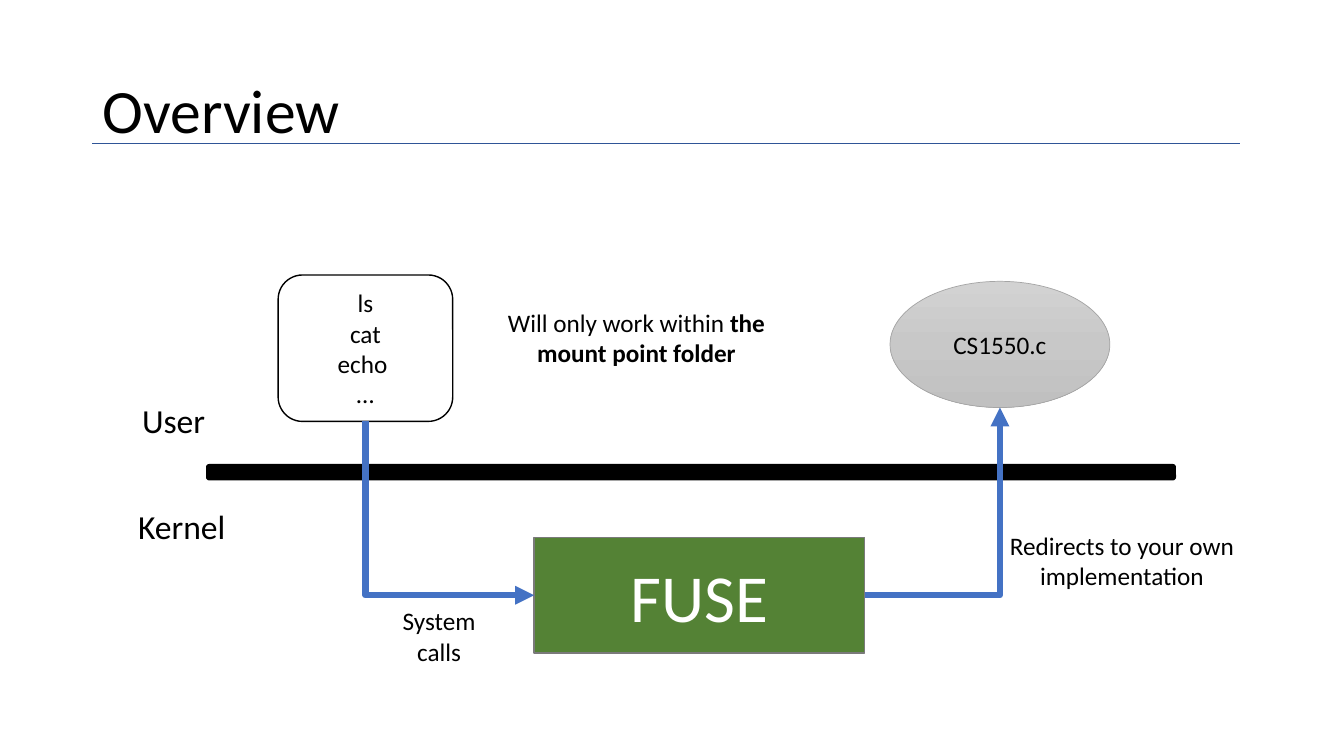
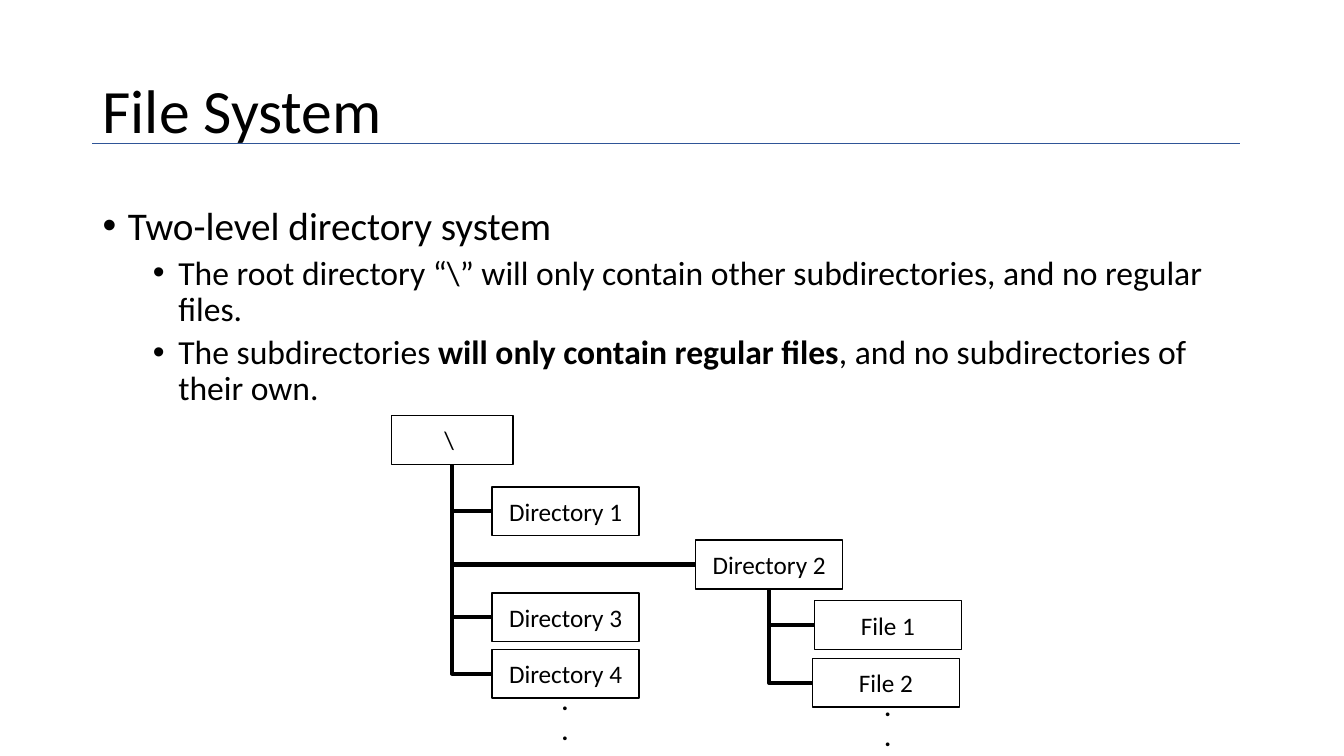
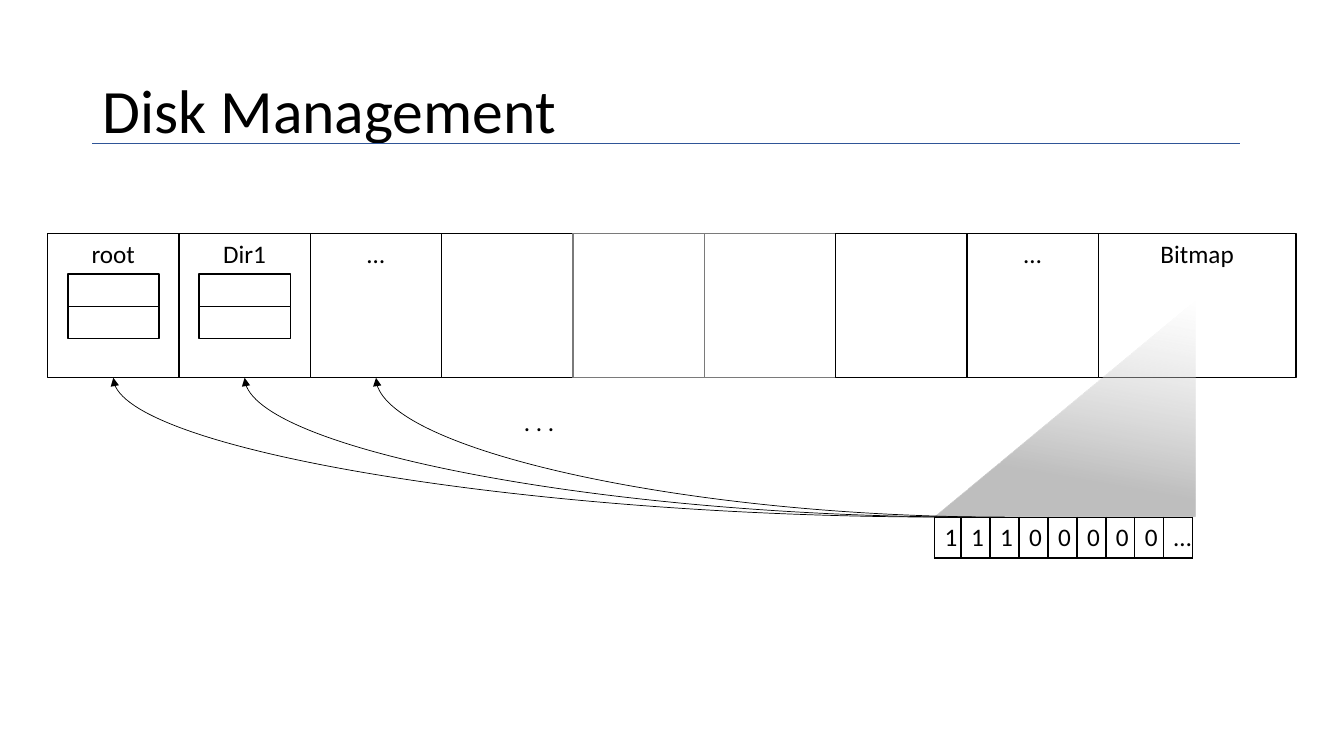
from lxml import etree
from pptx import Presentation
from pptx.dml.color import RGBColor
from pptx.enum.shapes import MSO_CONNECTOR, MSO_SHAPE
from pptx.enum.text import MSO_ANCHOR, MSO_AUTO_SIZE, PP_ALIGN
from pptx.oxml.ns import qn
from pptx.util import Cm, Pt

RECTANGLE, ROUNDED = MSO_SHAPE.RECTANGLE, MSO_SHAPE.ROUNDED_RECTANGLE
OVAL, TRIANGLE = MSO_SHAPE.OVAL, MSO_SHAPE.ISOSCELES_TRIANGLE
STRAIGHT, ELBOW, CURVE = MSO_CONNECTOR.STRAIGHT, MSO_CONNECTOR.ELBOW, MSO_CONNECTOR.CURVE
LEFT, CENTER = PP_ALIGN.LEFT, PP_ALIGN.CENTER
TOP, MIDDLE = MSO_ANCHOR.TOP, MSO_ANCHOR.MIDDLE
SIDE_BOTTOM, SIDE_LEFT, SIDE_RIGHT = 2, 1, 3
TITLE_ONLY, TITLE_AND_BODY = 5, 1

# Shared style
FONT = "Calibri"
COLORS = {
    "black": "000000", "white": "FFFFFF", "rule": "2F5597", "arrow": "4472C4",
    "green": "548235", "gray": "7A7A7A", "silver": "A5A5A5",
}
TITLE_BOX = (2.33, 1.01, 29.21, 3.68)
BODY_BOX = (2.33, 5.08, 29.21, 12.1)
RULE = (2.33, 3.61, 31.24, 3.61)
# Per list level: font size, left margin, space before
LEVELS = [(28, 0.64, 10), (24, 1.91, 5)]
HANGING = 0.64

# Overview: name, preset, box, text, size, text colour, fill, line, line width
OVERVIEW_SHAPES = [
    ("commands", ROUNDED, (7.01, 6.93, 4.4, 3.69), "ls\ncat\necho \n…",
     18, "black", "white", "black", 1),
    ("fuse", RECTANGLE, (13.46, 13.54, 8.33, 2.92), "FUSE",
     48, "white", "green", "gray", 1),
    ("boundary", ROUNDED, (5.21, 11.71, 24.41, 0.38), "",
     18, "black", "black", "black", 1),
    ("program", OVAL, (22.43, 7.09, 5.54, 3.18), "CS1550.c",
     18, "black", "white", "silver", 0.5),
]
OVERVIEW_LABELS = [
    ((3.33, 9.96, 2.46, 1.27), "User", 24, LEFT),
    ((3.23, 12.62, 3.15, 1.27), "Kernel", 24, LEFT),
    ((9.73, 15.14, 2.67, 1.8), "System calls", 18, CENTER),
    ((12.37, 7.62, 7.34, 1.8),
     [[("Will only work within ", False), ("the mount point folder", True)]], 18, CENTER),
    ((24.82, 13.23, 6.91, 1.8), "Redirects to your own implementation", 18, CENTER),
]
# Gradient stops: position in %, colour, opacity in %
PROGRAM_STOPS = [(0, "D2D2D2", 100), (50, "C8C8C8", 100), (100, "C0C0C0", 100)]

# File System: list as (level, runs), then tree boxes and branches
FILE_SYSTEM_LIST = [
    (0, [("Two-level directory system", False)]),
    (1, [("The root directory “\\” will only contain other subdirectories, "
          "and no regular files.", False)]),
    (1, [("The subdirectories ", False), ("will only contain regular files", True),
         (", and no subdirectories of their own.", False)]),
]
NODE_WIDTH, ROOT_WIDTH, NODE_HEIGHT = 3.71, 3.07, 1.23
NODES = {
    "\\ ": (9.86, 10.47), "Directory 1": (12.4, 12.27), "Directory 2": (17.53, 13.61),
    "Directory 3": (12.4, 14.94), "Directory 4": (12.4, 16.36),
    "File 1": (20.52, 15.14), "File 2": (20.47, 16.59),
}
BRANCHES = {
    "\\ ": ["Directory 1", "Directory 2", "Directory 3", "Directory 4"],
    "Directory 2": ["File 1", "File 2"],
}
DOTS_BOXES = [(12.88, 17.15, 2.72, 2.57), (21.01, 17.3, 2.72, 2.57)]

# Disk Management
BLOCKS = [
    ("root", "black"), ("Dir1", "black"), ("…", "black"), ("", "black"), ("", "gray"),
    ("", "gray"), ("", "black"), ("…", "black"), ("Bitmap", "black"),
]
DISK_LEFT, DISK_TOP, BLOCK_WIDTH, BLOCK_HEIGHT, BITMAP_WIDTH = 1.2, 5.89, 3.31, 3.63, 4.98
ENTRY_INSET, ENTRY_TOP, ENTRY_WIDTH, ENTRY_HEIGHT = 0.51, 6.91, 2.3, 0.81
BLOCKS_WITH_ENTRIES, ENTRIES = 2, 2
BITS = "11100000…"
BITS_LEFT, BITS_TOP, BITS_HEIGHT = 23.55, 13.03, 1.02
BIT_WIDTHS = [0.67] + [0.73] * 8
ZOOM_BOX = (23.55, 7.57, 6.58, 5.44)
ZOOM_STOPS = [(0, "D9D9D9", 0), (76, "BFBFBF", 100)]
LINKED_BLOCKS = 3


def color(name):
    return RGBColor.from_string(COLORS[name])


def lengths(box):
    return [Cm(value) for value in box]


def add_runs(paragraph, runs, size, color_name="black"):
    for text, bold in runs:
        run = paragraph.add_run()
        run.text = text
        run.font.name, run.font.size, run.font.bold = FONT, Pt(size), bold
        run.font.color.rgb = color(color_name)


def write(frame, content, size, color_name="black", alignment=CENTER, anchor=MIDDLE, bold=False):
    """Fill a frame from a string (one paragraph per line) or from lists of runs."""
    if isinstance(content, str):
        content = [[(line, bold)] for line in content.split("\n")] if content else []
    frame.word_wrap = True
    frame.vertical_anchor = anchor
    for index, runs in enumerate(content):
        paragraph = frame.add_paragraph() if index else frame.paragraphs[0]
        paragraph.alignment = alignment
        add_runs(paragraph, runs, size, color_name)


def add_box(slide, preset, box, text="", size=18, text_color="black", fill="white",
            line="black", width=1, anchor=MIDDLE):
    shape = slide.shapes.add_shape(preset, *lengths(box))
    shape.shadow.inherit = False
    shape.fill.solid()
    shape.fill.fore_color.rgb = color(fill)
    shape.line.color.rgb = color(line)
    shape.line.width = Pt(width)
    write(shape.text_frame, text, size, text_color, anchor=anchor)
    return shape


def add_label(slide, box, content, size=18, alignment=CENTER, bold=False):
    label = slide.shapes.add_textbox(*lengths(box))
    write(label.text_frame, content, size, alignment=alignment, anchor=TOP, bold=bold)


def set_gradient(shape, stops, angle):
    """Replace the solid fill by a gradient with any number of stops."""
    gradient = etree.Element(qn("a:gradFill"), rotWithShape="1")
    stop_list = etree.SubElement(gradient, qn("a:gsLst"))
    for position, value, opacity in stops:
        stop = etree.SubElement(stop_list, qn("a:gs"), pos=str(position * 1000))
        stop_color = etree.SubElement(stop, qn("a:srgbClr"), val=value)
        if opacity < 100:
            etree.SubElement(stop_color, qn("a:alpha"), val=str(opacity * 1000))
    etree.SubElement(gradient, qn("a:lin"), ang=str(angle * 60000), scaled="0")
    properties = shape.element.spPr
    properties.replace(properties.find(qn("a:solidFill")), gradient)


def add_line(slide, kind, points, color_name, width, arrow=False):
    connector = slide.shapes.add_connector(kind, *lengths(points))
    connector.line.color.rgb = color(color_name)
    connector.line.width = Pt(width)
    properties = connector.element.spPr
    if arrow:
        etree.SubElement(properties.find(qn("a:ln")), qn("a:tailEnd"), type="triangle")
    etree.SubElement(properties, qn("a:effectLst"))
    return connector


def make_one_bend(connector, down_first=False):
    """Turn a connector into its single-bend form, leaving sideways or downwards."""
    properties = connector.element.spPr
    geometry = properties.find(qn("a:prstGeom"))
    geometry.set("prst", geometry.get("prst").replace("3", "2"))
    transform = properties.find(qn("a:xfrm"))
    if down_first:
        left, top, width, height = (connector.left, connector.top,
                                    connector.width, connector.height)
        connector.left = left + (width - height) // 2
        connector.top = top + (height - width) // 2
        connector.width, connector.height = height, width
        transform.set("rot", "16200000")
        transform.set("flipH", "1")
    elif transform.get("flipH") and transform.get("flipV"):
        del transform.attrib["flipH"], transform.attrib["flipV"]
        transform.set("rot", "10800000")


def join_end(connector, shape, side):
    connector.end_connect(shape, side)
    if shape.auto_shape_type == OVAL:
        # An ellipse has eight connection sites, two per side
        for end in connector.element.iter(qn("a:endCxn")):
            end.set("idx", str(side * 2))


def join(slide, start, start_side, end, end_side, color_name, width, arrow=False):
    connector = add_line(slide, ELBOW, (0, 0, 1, 1), color_name, width, arrow)
    connector.begin_connect(start, start_side)
    join_end(connector, end, end_side)
    make_one_bend(connector, down_first=start_side == SIDE_BOTTOM)


def place(placeholder, box, anchor):
    placeholder.left, placeholder.top, placeholder.width, placeholder.height = lengths(box)
    frame = placeholder.text_frame
    frame.auto_size = MSO_AUTO_SIZE.NONE
    frame.word_wrap = True
    frame.vertical_anchor = anchor
    return frame


def start_slide(presentation, title, layout=TITLE_ONLY):
    slide = presentation.slides.add_slide(presentation.slide_layouts[layout])
    frame = place(slide.shapes.title, TITLE_BOX, MIDDLE)
    write(frame, title, 44, alignment=LEFT)
    frame.paragraphs[0].line_spacing = 0.9
    add_line(slide, STRAIGHT, RULE, "rule", 0.5)
    return slide


def fill_list(placeholder, items):
    frame = place(placeholder, BODY_BOX, TOP)
    for index, (level, runs) in enumerate(items):
        size, margin, space_before = LEVELS[level]
        paragraph = frame.add_paragraph() if index else frame.paragraphs[0]
        paragraph.level = level
        paragraph.line_spacing = 0.9
        paragraph.space_before = Pt(space_before)
        add_runs(paragraph, runs, size)
        properties = paragraph._p.get_or_add_pPr()
        properties.set("marL", str(Cm(margin)))
        properties.set("indent", str(-Cm(HANGING)))
        etree.SubElement(properties, qn("a:buFont"), typeface="Arial")
        etree.SubElement(properties, qn("a:buChar"), char="•")


def set_borders(cell):
    properties = cell._tc.get_or_add_tcPr()
    for index, edge in enumerate(("a:lnL", "a:lnR", "a:lnT", "a:lnB")):
        border = etree.Element(qn(edge), w=str(Pt(1)))
        fill = etree.SubElement(border, qn("a:solidFill"))
        etree.SubElement(fill, qn("a:srgbClr"), val=COLORS["black"])
        properties.insert(index, border)


def build_overview(presentation):
    slide = start_slide(presentation, "Overview")
    shapes = {name: add_box(slide, *details) for name, *details in OVERVIEW_SHAPES}
    set_gradient(shapes["program"], PROGRAM_STOPS, 90)
    join(slide, shapes["commands"], SIDE_BOTTOM, shapes["fuse"], SIDE_LEFT, "arrow", 4.5, True)
    join(slide, shapes["fuse"], SIDE_RIGHT, shapes["program"], SIDE_BOTTOM, "arrow", 4.5, True)
    for label in OVERVIEW_LABELS:
        add_label(slide, *label)


def build_file_system(presentation):
    slide = start_slide(presentation, "File System", TITLE_AND_BODY)
    fill_list(slide.placeholders[1], FILE_SYSTEM_LIST)
    nodes = {}
    for name, (left, top) in NODES.items():
        width = ROOT_WIDTH if name == "\\ " else NODE_WIDTH
        nodes[name] = add_box(slide, RECTANGLE, (left, top, width, NODE_HEIGHT), name)
    for parent, children in BRANCHES.items():
        for child in children:
            join(slide, nodes[parent], SIDE_BOTTOM, nodes[child], SIDE_LEFT, "black", 3)
    for box in DOTS_BOXES:
        add_label(slide, box, ".\n.\n.", bold=True)


def build_disk_management(presentation):
    slide = start_slide(presentation, "Disk Management")

    # Disk blocks and the entries inside the first ones
    blocks = []
    for index, (name, line) in enumerate(BLOCKS):
        left = DISK_LEFT + index * BLOCK_WIDTH
        width = BITMAP_WIDTH if name == "Bitmap" else BLOCK_WIDTH
        blocks.append(add_box(slide, RECTANGLE, (left, DISK_TOP, width, BLOCK_HEIGHT),
                              name, line=line, anchor=TOP))
        if index < BLOCKS_WITH_ENTRIES:
            for row in range(ENTRIES):
                add_box(slide, RECTANGLE, (left + ENTRY_INSET, ENTRY_TOP + row * ENTRY_HEIGHT,
                                           ENTRY_WIDTH, ENTRY_HEIGHT))

    # Zoom from the bitmap block to its bits
    zoom = add_box(slide, TRIANGLE, ZOOM_BOX)
    zoom.adjustments[0] = 1
    set_gradient(zoom, ZOOM_STOPS, 100)
    zoom.line.fill.background()

    # Bit table
    table = slide.shapes.add_table(
        1, len(BITS), *lengths((BITS_LEFT, BITS_TOP, sum(BIT_WIDTHS), BITS_HEIGHT))).table
    table.first_row = table.horz_banding = False
    for index, (bit, width) in enumerate(zip(BITS, BIT_WIDTHS)):
        table.columns[index].width = Cm(width)
        cell = table.cell(0, index)
        cell.fill.background()
        add_runs(cell.text_frame.paragraphs[0], [(bit, False)], 18)
        set_borders(cell)

    # Each set bit points at its block
    for index in range(LINKED_BLOCKS):
        bit_center = BITS_LEFT + sum(BIT_WIDTHS[:index]) + BIT_WIDTHS[index] / 2
        link = add_line(slide, CURVE, (bit_center, BITS_TOP, DISK_LEFT, DISK_TOP),
                        "black", 0.5, True)
        join_end(link, blocks[index], SIDE_BOTTOM)
        make_one_bend(link)
    add_label(slide, (12.95, 10.11, 4.62, 1.02), ". . .", alignment=LEFT)


def main():
    presentation = Presentation()
    presentation.slide_width, presentation.slide_height = Cm(33.87), Cm(19.05)
    build_overview(presentation)
    build_file_system(presentation)
    build_disk_management(presentation)
    presentation.save("out.pptx")


if __name__ == "__main__":
    main()
